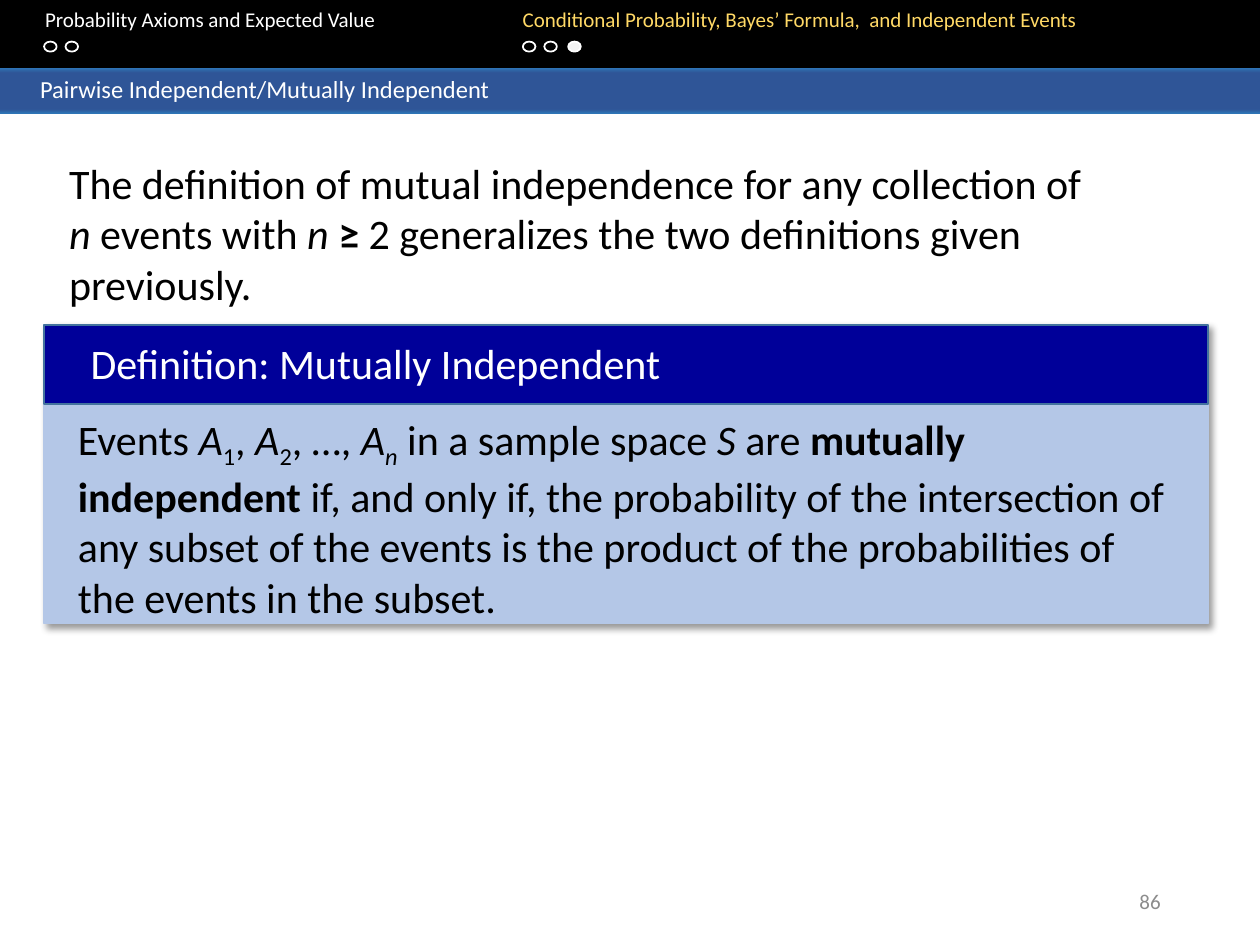
from collections import namedtuple
from dataclasses import dataclass

from lxml import etree
from pptx import Presentation
from pptx.dml.color import RGBColor
from pptx.enum import shapes, text
from pptx.oxml import ns
from pptx.util import Inches, Pt

Box = namedtuple("Box", "left top width height")


@dataclass(frozen=True)
class Theme:
    font: str = "Calibri"
    black: str = "000000"
    white: str = "FFFFFF"
    dot: str = "F2F2F2"
    gold: str = "FFD966"
    gray: str = "8C8C8C"
    edge: str = "2E75B6"
    band: str = "2F5597"
    navy: str = "000099"
    rim: str = "43739E"
    pale: str = "B4C7E7"
    small: int = 12
    title: int = 14
    body: int = 24


THEME = Theme()
SHAPE = shapes.MSO_SHAPE


def rgb(code):
    return RGBColor.from_string(code)


def sub(node, tag, **attrs):
    """Add a DrawingML child element."""
    return etree.SubElement(node, ns.qn("a:" + tag), {k: str(v) for k, v in attrs.items()})


def add_shape(parent, kind, box, fill=None, line=None):
    shape = parent.add_shape(kind, *map(Inches, box))
    shape.shadow.inherit = False
    if fill:
        shape.fill.solid()
        shape.fill.fore_color.rgb = rgb(fill)
    else:
        shape.fill.background()
    if line:
        shape.line.color.rgb = rgb(line)
        shape.line.width = Pt(1)
    else:
        shape.line.fill.background()
    return shape


def add_text(parent, box):
    label = parent.add_textbox(*map(Inches, box))
    label.text_frame.word_wrap = True
    return label


def write(para, parts, size, color):
    """Add runs; each part is (text, style), style being letters of b, i and s (subscript)."""
    for words, style in parts:
        run = para.add_run()
        run.text = words
        font = run.font
        font.name, font.size = THEME.font, Pt(size)
        font.color.rgb = rgb(color)
        font.bold, font.italic = "b" in style, "i" in style
        if "s" in style:
            font._element.set("baseline", "-25000")


def set_tabs(para, stops):
    tabs = sub(para._p.get_or_add_pPr(), "tabLst")
    for stop in stops:
        sub(tabs, "tab", pos=Inches(stop), algn="l")


def add_nav(parent, box):
    """Black bar with two section names and their progress dots."""
    add_shape(parent, SHAPE.RECTANGLE, box, THEME.black)
    label = add_text(parent, Box(box.left, 0, box.width, 0.5))
    para = label.text_frame.paragraphs[0]
    set_tabs(para, (0.26, 4.05))
    write(para, [("\tProbability Axioms and Expected Value", "")], THEME.small, THEME.white)
    write(para, [("\tConditional Probability, Bayes’ Formula,  and Independent Events", "")],
          THEME.small, THEME.gold)
    for left, fill in ((0.35, None), (0.52, None), (4.15, None), (4.32, None), (4.51, THEME.dot)):
        dot = Box(box.left + left, box.top + 0.35, 0.1, 0.08)
        add_shape(parent, SHAPE.OVAL, dot, fill, THEME.white)


def add_banner(parent, box):
    """Topic strip, darker between two bright edges."""
    strip = add_shape(parent, SHAPE.RECTANGLE, box, THEME.band)
    strip.fill.gradient()
    strip.fill.gradient_angle = 270
    stops = strip._element.spPr.find(".//" + ns.qn("a:gsLst"))
    for old in list(stops):
        stops.remove(old)
    for place, color in ((0, THEME.edge), (11, THEME.band), (91, THEME.band), (100, THEME.edge)):
        sub(sub(stops, "gs", pos=place * 1000), "srgbClr", val=color)
    frame = strip.text_frame
    frame.vertical_anchor = text.MSO_ANCHOR.TOP
    para = frame.paragraphs[0]
    para.alignment = text.PP_ALIGN.LEFT
    set_tabs(para, (0.22,))
    write(para, [("\tPairwise Independent/Mutually Independent", "")], THEME.title, THEME.white)


def add_intro(parent, box):
    parts = [
        ("The definition of mutual independence for any collection of ", ""),
        ("n", "i"), (" events with ", ""), ("n ", "i"), ("≥ ", "b"),
        ("2 generalizes the two definitions given previously.", ""),
    ]
    para = add_text(parent, box).text_frame.paragraphs[0]
    write(para, parts, THEME.body, THEME.black)


def cast_shadow(shape):
    effects = shape._element.spPr.find(ns.qn("a:effectLst"))
    outer = sub(effects, "outerShdw", blurRad=Pt(4), dist=Pt(3), dir=45 * 60000,
                algn="tl", rotWithShape=0)
    sub(sub(outer, "srgbClr", val=THEME.black), "alpha", val=40000)


def add_card(parent, box):
    """Definition card: heading bar over a pale panel."""
    group = parent.add_group_shape().shapes
    panel = add_shape(group, SHAPE.RECTANGLE, box, THEME.pale, THEME.pale)
    cast_shadow(panel)
    add_shape(group, SHAPE.RECTANGLE, box._replace(height=0.63), THEME.navy, THEME.rim)

    head = add_text(group, Box(box.left + 0.27, box.top + 0.05, 8.69, 0.5))
    write(head.text_frame.paragraphs[0], [("Definition: Mutually Independent", "")],
          THEME.body, THEME.white)

    parts = [
        ("Events ", ""), ("A", "i"), ("1", "s"), (", ", ""), ("A", "i"), ("2", "s"),
        (", …, ", ""), ("A", "i"), ("n", "is"), (" in a sample space ", ""), ("S", "i"),
        (" are ", ""), ("mutually independent ", "b"),
        ("if, and only if, the probability of the intersection of any subset of the events "
         "is the product of the probabilities of the events in the subset.", ""),
    ]
    body = add_text(group, Box(box.left + 0.17, box.top + 0.65, 8.95, 1.72))
    para = body.text_frame.paragraphs[0]
    para.space_after = Pt(6)
    write(para, parts, THEME.body, THEME.black)


def add_number(parent, box):
    frame = add_text(parent, box).text_frame
    frame.vertical_anchor = text.MSO_ANCHOR.MIDDLE
    para = frame.paragraphs[0]
    para.alignment = text.PP_ALIGN.RIGHT
    write(para, [("86", "")], THEME.small, THEME.gray)


def main():
    deck = Presentation()
    deck.slide_width, deck.slide_height = Inches(10), Inches(7.5)
    parts = deck.slides.add_slide(deck.slide_layouts[6]).shapes
    add_nav(parts, Box(0, -0.02, 10, 0.56))
    add_banner(parts, Box(0, 0.54, 10, 0.36))
    add_intro(parts, Box(0.45, 1.2, 8.37, 1.37))
    add_card(parts, Box(0.35, 2.58, 9.24, 2.37))
    add_number(parts, Box(7.06, 6.95, 2.25, 0.4))
    deck.save("out.pptx")


if __name__ == "__main__":
    main()
